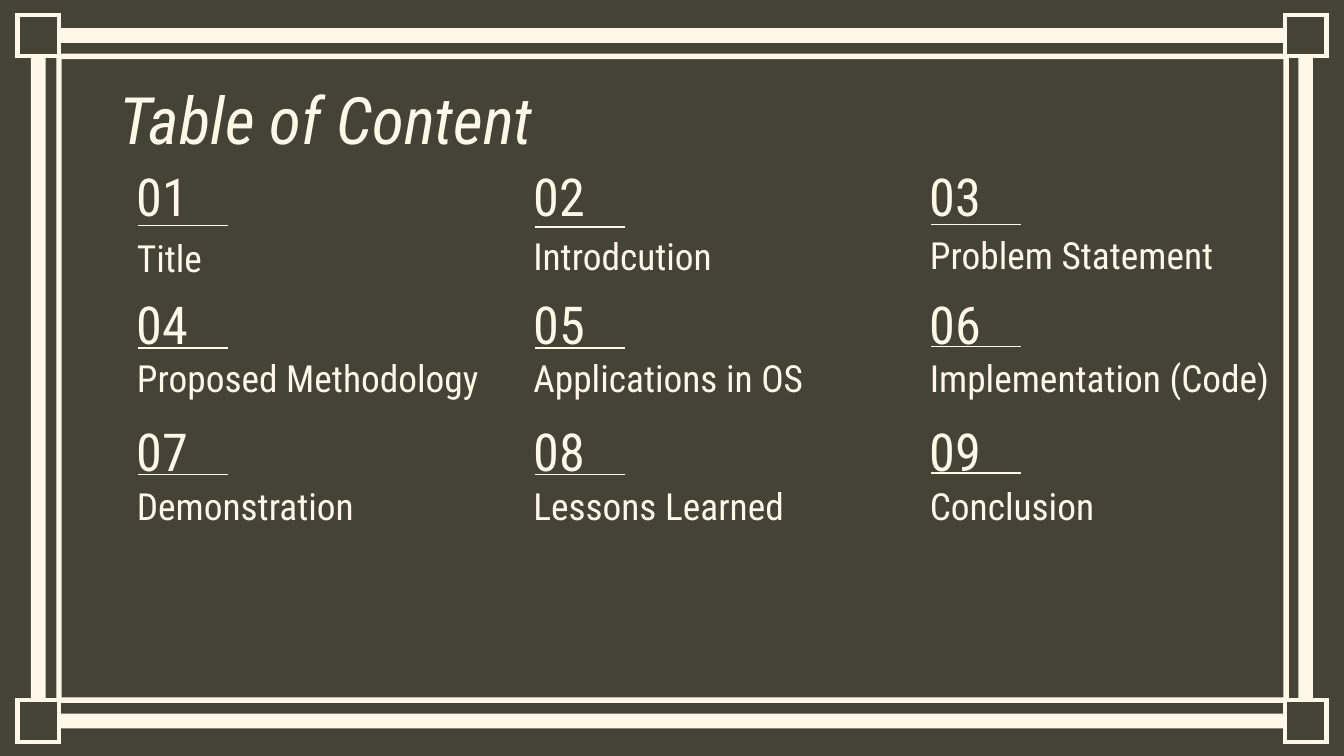
from dataclasses import dataclass

from pptx import Presentation
from pptx import util as u
from pptx.dml import color
from pptx.enum import shapes as kinds, text as txt
from pptx.oxml import ns

CREAM = color.RGBColor(0xFF, 0xF8, 0xE9)
OLIVE = color.RGBColor(0x44, 0x43, 0x36)
FONT = "Roboto Condensed"
COLS = (0.92, 3.87, 6.82)


@dataclass
class Box:
    x: float
    y: float
    w: float
    h: float

    def place(self) -> tuple:
        return tuple(u.Inches(side) for side in (self.x, self.y, self.w, self.h))


@dataclass
class Entry:
    name: str
    width: float
    rule: float
    top: float


ENTRIES = [
    Entry("Title", 2.27, 1.68, 1.75),
    Entry("Introdcution", 2.27, 1.69, 1.74),
    Entry("Problem Statement", 3.08, 1.67, 1.73),
    Entry("Proposed Methodology", 2.79, 2.59, 2.65),
    Entry("Applications in OS", 2.27, 2.59, 2.65),
    Entry("Implementation (Code)", 3.08, 2.58, 2.65),
    Entry("Demonstration", 2.95, 3.53, 3.6),
    Entry("Lessons Learned", 2.27, 3.53, 3.6),
    Entry("Conclusion", 2.63, 3.52, 3.6),
]
BARS = [
    Box(0.45, 0.21, 9.11, 0.11),
    Box(0.45, 0.4, 9.11, 0.04),
    Box(0.45, 5.31, 9.11, 0.11),
    Box(0.45, 5.19, 9.11, 0.04),
    Box(0.23, 0.42, 0.11, 4.79),
    Box(0.42, 0.42, 0.04, 4.79),
    Box(9.66, 0.42, 0.11, 4.79),
    Box(9.55, 0.42, 0.04, 4.79),
]
CORNERS = [Box(x, y, 0.31, 0.31) for y in (0.11, 5.21) for x in (0.13, 9.56)]


def add_rect(slide, box: Box, solid: bool) -> None:
    rect = slide.shapes.add_shape(kinds.MSO_SHAPE.RECTANGLE, *box.place())
    rect.shadow.inherit = False
    if solid:
        rect.fill.solid()
        rect.fill.fore_color.rgb = CREAM
        rect.line.fill.background()
    else:
        rect.fill.background()
        rect.line.color.rgb = CREAM
        rect.line.width = u.Pt(2.25)
        edge = rect._element.spPr.find(ns.qn("a:ln"))
        edge.append(edge.makeelement(ns.qn("a:miter"), {"lim": "800000"}))


def set_text(shape, words: str, size: float, anchor, italic: bool = False) -> None:
    frame = shape.text_frame
    frame.text = words
    frame.word_wrap = True
    frame.auto_size = txt.MSO_AUTO_SIZE.NONE
    frame.vertical_anchor = anchor
    frame.margin_left = frame.margin_right = u.Inches(0.1)
    frame.margin_top = frame.margin_bottom = u.Inches(0.1)
    para = frame.paragraphs[0]
    para.alignment = txt.PP_ALIGN.LEFT
    font = para.runs[0].font
    font.name = FONT
    font.size = u.Pt(size)
    font.italic = italic
    font.color.rgb = CREAM


def add_text(slide, box: Box, words: str, size: float, anchor) -> None:
    set_text(slide.shapes.add_textbox(*box.place()), words, size, anchor)


def add_rule(slide, x: float, y: float) -> None:
    rule = slide.shapes.add_connector(
        kinds.MSO_CONNECTOR.STRAIGHT,
        u.Inches(x), u.Inches(y), u.Inches(x + 0.67), u.Inches(y))
    rule.line.color.rgb = CREAM
    rule.line.width = u.Pt(0.75)
    props = rule._element.spPr
    props.append(props.makeelement(ns.qn("a:effectLst"), {}))


def add_entry(slide, index: int, entry: Entry) -> None:
    row, col = divmod(index, 3)
    x, y = COLS[col], 1.21 + 0.95 * row
    add_text(slide, Box(x, y, 0.8, 0.49), f"{index + 1:02}", 28, txt.MSO_ANCHOR.MIDDLE)
    add_text(slide, Box(x, entry.top, entry.width, 0.43), entry.name, 20,
             txt.MSO_ANCHOR.BOTTOM)
    add_rule(slide, x + 0.11, entry.rule)


def main() -> None:
    deck = Presentation()
    deck.slide_width, deck.slide_height = u.Inches(10), u.Inches(5.625)
    slide = deck.slides.add_slide(deck.slide_layouts[5])
    slide.background.fill.solid()
    slide.background.fill.fore_color.rgb = OLIVE
    for box in CORNERS:
        add_rect(slide, box, False)
    for box in BARS:
        add_rect(slide, box, True)
    title = slide.shapes.title
    title.left, title.top, title.width, title.height = Box(0.79, 0.49, 8.43, 0.63).place()
    set_text(title, "Table of Content", 35, txt.MSO_ANCHOR.TOP, True)
    for index, entry in enumerate(ENTRIES):
        add_entry(slide, index, entry)
    deck.save("out.pptx")


if __name__ == "__main__":
    main()
